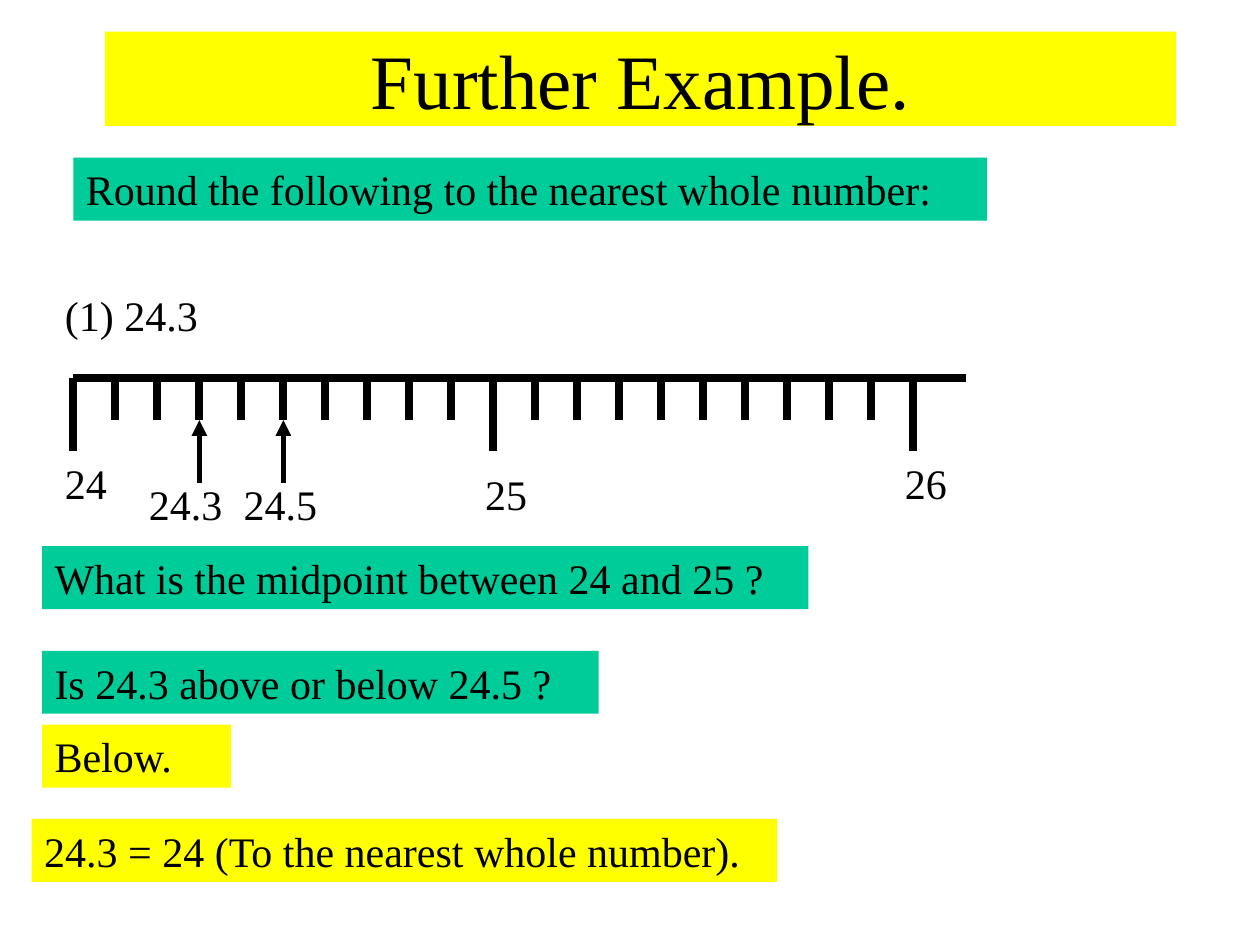
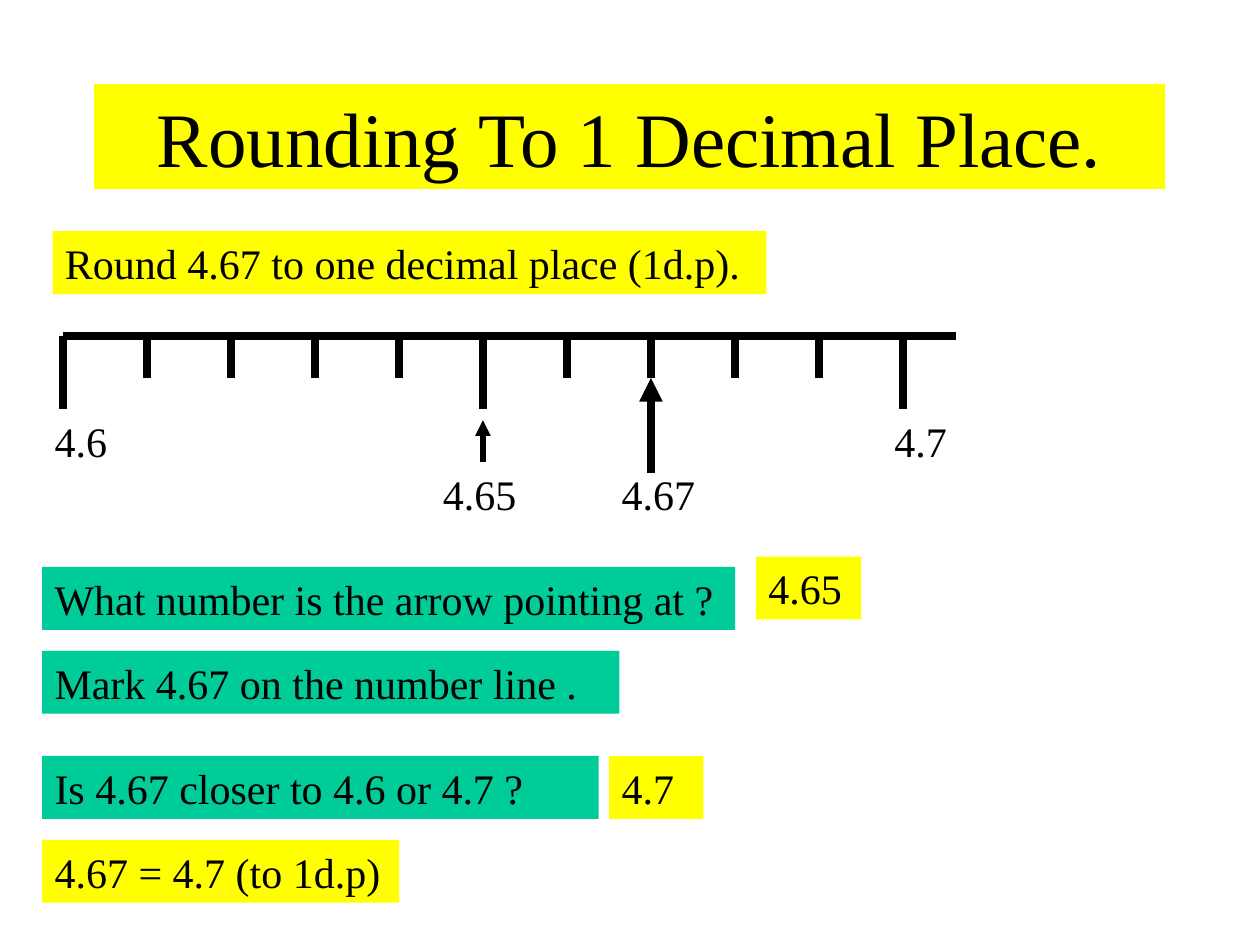
"""Build two slides that round decimals with a number line."""
from pptx import Presentation
from pptx.dml.color import RGBColor
from pptx.enum import shapes, text
from pptx.oxml import xmlchemy as xml
from pptx.util import Cm, Pt

BLACK = RGBColor(0x00, 0x00, 0x00)
YELLOW = RGBColor(0xFF, 0xFF, 0x00)
GREEN = RGBColor(0x00, 0xCC, 0x99)
FONT = "Times New Roman"
HIGH = 1.27
WIDE = 18
SPAN = 16.93
LONG, SHORT = 1.48, 0.85

SLIDES = [
    {
        "title": ("Further Example.", 2.12, 0.64, 1.9),
        "line": (1.48, 7.62, 20, 10),
        "arrows": [(3, 9.74, 8.47, 3), (5, 9.74, 8.47, 3)],
        "boxes": [
            ("Round the following to the nearest whole number:", 1.48, 3.18, 18.42, GREEN),
            ("(1) 24.3", 1.06, 5.72, 3.39, None),
            ("24", 1.06, 9.1, 1.48, None),
            ("25", 9.53, 9.31, 1.69, None),
            ("26", 17.99, 9.1, 1.48, None),
            ("24.3", 2.75, 9.53, 2.54, None),
            ("24.5", 4.66, 9.53, 2.33, None),
            ("What is the midpoint between 24 and 25 ?", 0.85, 11.01, 15.45, GREEN),
            ("Is 24.3 above or below 24.5 ?", 0.85, 13.12, 11.22, GREEN),
            ("Below.", 0.85, 14.61, 3.81, YELLOW),
            ("24.3 = 24 (To the nearest whole number).", 0.64, 16.51, 15.03, YELLOW),
        ],
    },
    {
        "title": ("Rounding To 1 Decimal Place.", 1.9, 1.69, 2.12),
        "line": (1.27, 6.77, 10, 5),
        "arrows": [(5, 9.31, 8.47, 3), (7, 9.53, 7.62, 4.5)],
        "boxes": [
            ("Round 4.67 to one decimal place (1d.p).", 1.06, 4.66, 14.39, YELLOW),
            ("4.6", 0.85, 8.26, 2.33, None),
            ("4.7", 17.78, 8.26, 1.9, None),
            ("4.65", 8.68, 9.31, 2.33, None),
            ("4.67", 12.28, 9.31, 2.54, None),
            ("What number is the arrow pointing at ?", 0.85, 11.43, 13.97, GREEN),
            ("4.65", 15.24, 11.22, 2.12, YELLOW),
            ("Mark 4.67 on the number line .", 0.85, 13.12, 11.64, GREEN),
            ("Is 4.67 closer to 4.6 or 4.7 ?", 0.85, 15.24, 11.22, GREEN),
            ("4.7", 12.28, 15.24, 1.9, YELLOW),
            ("4.67 = 4.7 (to 1d.p)", 0.85, 16.93, 7.2, YELLOW),
        ],
    },
]


def add_text(slide, words, left, top, width, fill, high=HIGH, size=24):
    box = slide.shapes.add_textbox(Cm(left), Cm(top), Cm(width), Cm(high))
    if fill is not None:
        box.fill.solid()
        box.fill.fore_color.rgb = fill
    frame = box.text_frame
    frame.word_wrap = True
    par = frame.paragraphs[0]
    par.text = words
    par.font.name = FONT
    par.font.size = Pt(size)
    par.font.color.rgb = BLACK
    return frame


def add_line(slide, x1, y1, x2, y2, weight=4.5, head=False):
    line = slide.shapes.add_connector(
        shapes.MSO_CONNECTOR.STRAIGHT, Cm(x1), Cm(y1), Cm(x2), Cm(y2))
    line.line.color.rgb = BLACK
    line.line.width = Pt(weight)
    props = line._element.spPr
    if head:
        tip = xml.OxmlElement("a:tailEnd")
        tip.set("type", "triangle")
        props.find(xml.qn("a:ln")).append(tip)
    props.append(xml.OxmlElement("a:effectLst"))


deck = Presentation()
deck.slide_width = Cm(25.4)
deck.slide_height = Cm(19.05)

for page in SLIDES:
    slide = deck.slides.add_slide(deck.slide_layouts[6])

    words, left, top, high = page["title"]
    frame = add_text(slide, words, left, top, 21.59, YELLOW, high, 44)
    frame.vertical_anchor = text.MSO_ANCHOR.MIDDLE
    frame.paragraphs[0].alignment = text.PP_ALIGN.CENTER

    start, level, count, major = page["line"]
    step = SPAN / count
    add_line(slide, start, level, start + WIDE, level)
    for tick in range(count + 1):
        x = start + tick * step
        drop = SHORT if tick % major else LONG
        add_line(slide, x, level, x, level + drop)

    for tick, foot, tip, weight in page["arrows"]:
        x = start + tick * step
        add_line(slide, x, foot, x, tip, weight, head=True)

    for words, left, top, width, fill in page["boxes"]:
        add_text(slide, words, left, top, width, fill)

deck.save("out.pptx")
